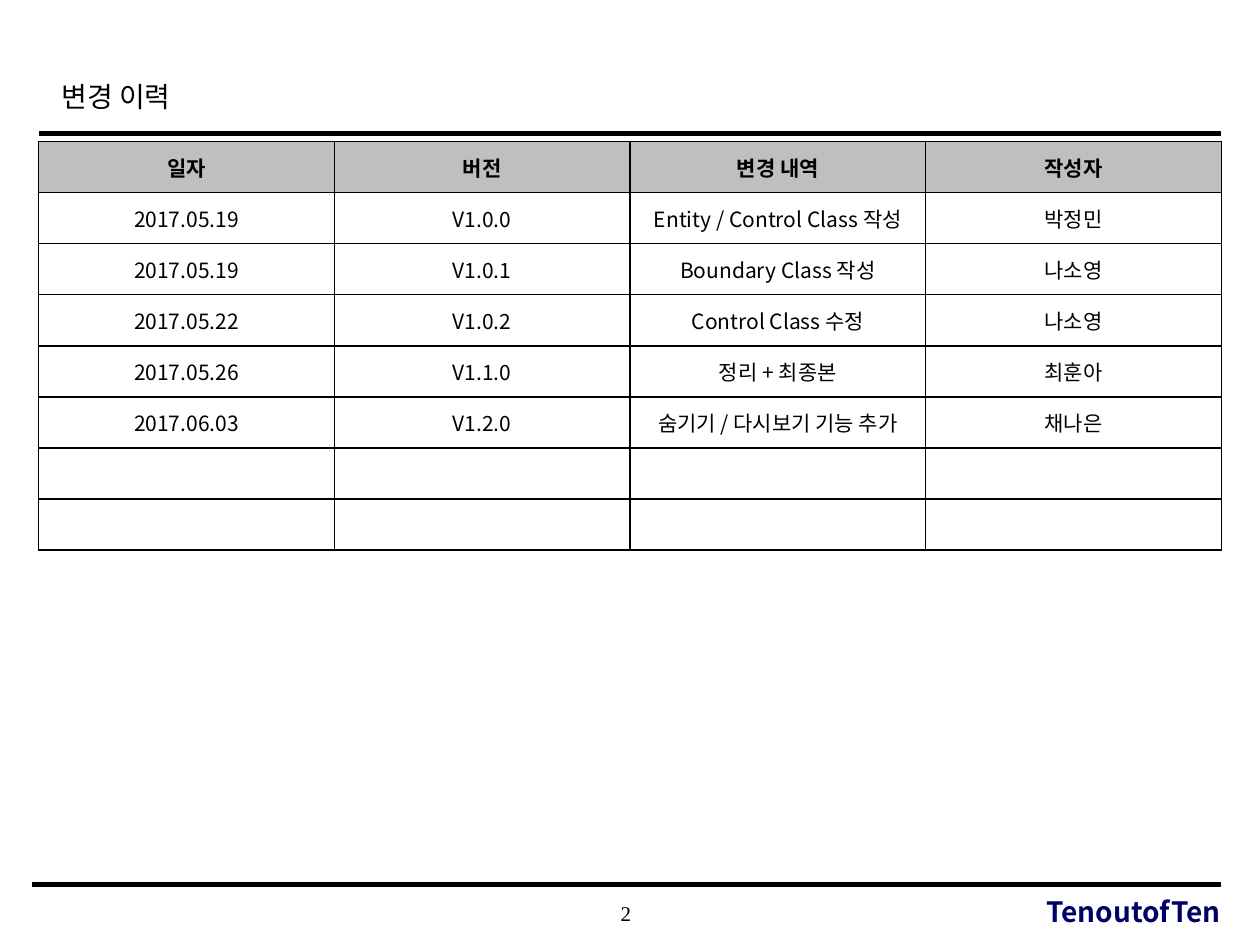
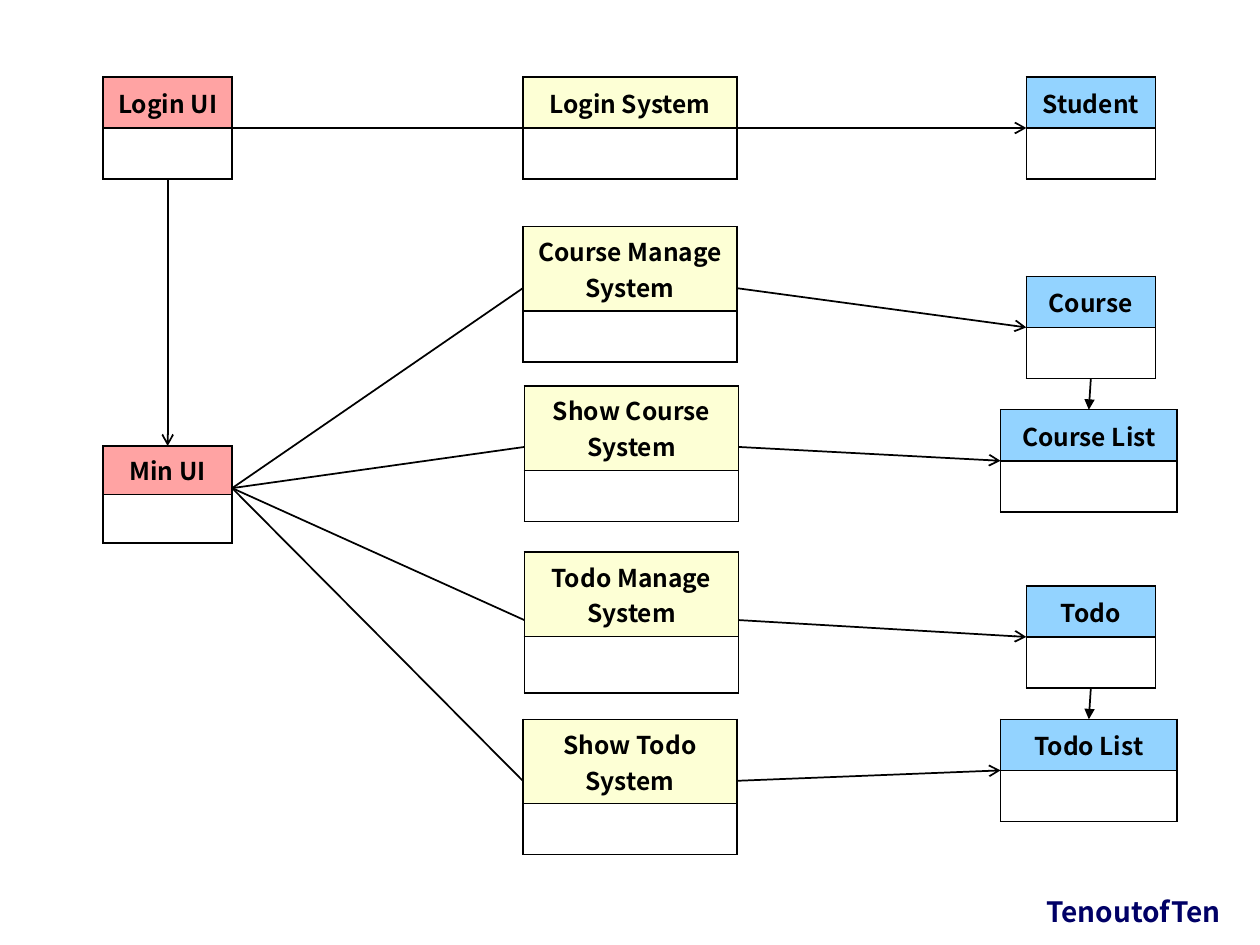
from collections import namedtuple

from lxml import etree
from pptx import Presentation
from pptx import util as u
from pptx.dml.color import RGBColor
from pptx.enum import shapes, text
from pptx.oxml import ns

SANS = "Noto Sans CJK KR"
SERIF = "Times New Roman"
BLACK, WHITE, GREY, NAVY = "000000", "FFFFFF", "BFBFBF", "000066"
PINK, CREAM, SKY = "FFA3A3", "FDFFD5", "93D3FF"
LEFT, MID, RIGHT = text.PP_ALIGN.LEFT, text.PP_ALIGN.CENTER, text.PP_ALIGN.RIGHT

Box = namedtuple("Box", "left top right low port")


def tint(code):
    return RGBColor.from_string(code)


def sub(node, tag, **attrs):
    return etree.SubElement(node, ns.qn(tag), **attrs)


class Deck:
    def __init__(self):
        self.file = Presentation()
        self.file.slide_width = u.Cm(25.4)
        self.file.slide_height = u.Cm(19.05)

    def page(self, layout):
        self.slide = self.file.slides.add_slide(self.file.slide_layouts[layout])
        self.label("TenoutofTen", (16.84, 17.96, 7.77, 0.84), 16, SANS, NAVY, True, RIGHT)

    def style(self, frame, size, face=SANS, color=BLACK, bold=False, align=MID):
        for para in frame.paragraphs:
            para.alignment = align
            font = para.font
            font.size = u.Pt(size)
            font.bold = bold
            font.color.rgb = tint(color)
            font.name = face
            sub(para._p.pPr.find(ns.qn("a:defRPr")), "a:ea", typeface=SANS)

    def title(self, words, place):
        head = self.slide.shapes.title
        head.left, head.top, head.width, head.height = map(u.Cm, place)
        frame = head.text_frame
        frame.text = words
        frame.vertical_anchor = text.MSO_ANCHOR.MIDDLE
        frame.paragraphs[0].line_spacing = 1.2
        self.style(frame, 16, SERIF, align=LEFT)

    def label(self, words, place, *look):
        frame = self.slide.shapes.add_textbox(*map(u.Cm, place)).text_frame
        frame.word_wrap = True
        frame.margin_left = frame.margin_right = 0
        frame.margin_top = frame.margin_bottom = 0
        frame.vertical_anchor = text.MSO_ANCHOR.MIDDLE
        frame.text = words
        self.style(frame, *look)

    def line(self, start, end, width=1, tip=None):
        link = self.slide.shapes.add_connector(
            shapes.MSO_CONNECTOR.STRAIGHT, *map(u.Cm, start + end))
        link.line.color.rgb = tint(BLACK)
        link.line.width = u.Pt(width)
        if tip:
            sub(link.line._ln, "a:tailEnd", type=tip)
        sub(link._element.spPr, "a:effectLst")

    def cell(self, cell, words, size, bold, fill):
        cell.margin_top = cell.margin_bottom = 0
        cell.vertical_anchor = text.MSO_ANCHOR.MIDDLE
        cell.text = words
        self.style(cell.text_frame, size, bold=bold)
        props = cell._tc.get_or_add_tcPr()
        for side in "LRTB":
            edge = sub(props, f"a:ln{side}", w=str(u.Pt(1)))
            sub(sub(edge, "a:solidFill"), "a:srgbClr", val=BLACK)
        if fill:
            cell.fill.solid()
            cell.fill.fore_color.rgb = tint(fill)
        else:
            cell.fill.background()

    def table(self, rows, left, top, width, highs, size, fills):
        grid = self.slide.shapes.add_table(
            len(rows), len(rows[0]), *map(u.Cm, (left, top, width, sum(highs)))).table
        grid.first_row = grid.horz_banding = False
        for i, (row, high) in enumerate(zip(rows, highs)):
            grid.rows[i].height = u.Cm(high)
            for j, words in enumerate(row):
                self.cell(grid.cell(i, j), words, size, i == 0, fills[min(i, 1)])

    def box(self, name, left, top, width, fill, head=1.03, foot=1.03, port=1.03):
        self.table([[name], [""]], left, top, width, (head, foot), 14, (fill, None))
        return Box(left, top, left + width, top + head + foot, top + port)

    def across(self, one, two, tip=None):
        self.line((one.right, one.port), (two.left, two.port), tip=tip)

    def down(self, one, two, tip):
        self.line(((one.left + one.right) / 2, one.low),
                  ((two.left + two.right) / 2, two.top), tip=tip)


def changes(deck):
    deck.page(5)
    deck.label("2", (9.98, 17.98, 5.28, 0.84), 12, SERIF)
    deck.line((0.79, 2.69), (24.61, 2.69), 2.5)
    deck.line((0.64, 17.83), (24.61, 17.83), 3)
    deck.title("변경 이력", (0.99, 1.24, 19.18, 1.27))
    rows = [
        ("일자", "버전", "변경 내역", "작성자"),
        ("2017.05.19", "V1.0.0", "Entity / Control Class 작성", "박정민"),
        ("2017.05.19", "V1.0.1", "Boundary Class 작성", "나소영"),
        ("2017.05.22", "V1.0.2", "Control Class 수정", "나소영"),
        ("2017.05.26", "V1.1.0", "정리 + 최종본", "최훈아"),
        ("2017.06.03", "V1.2.0", "숨기기 / 다시보기 기능 추가", "채나은"),
        ("",) * 4,
        ("",) * 4,
    ]
    deck.table(rows, 0.78, 2.85, 23.84, [1.03] * len(rows), 12, (GREY, WHITE))


def classes(deck):
    deck.page(6)
    login = deck.box("Login UI", 2.08, 1.55, 2.6, PINK)
    main = deck.box("Min UI", 2.08, 8.99, 2.6, PINK, 0.98, 0.98, 0.85)
    entry = deck.box("Login System", 10.54, 1.55, 4.32, CREAM)

    student, course, todo = [
        deck.box(name, 20.69, top, 2.6, SKY)
        for name, top in (("Student", 1.55), ("Course", 5.57), ("Todo", 11.81))]
    courses, todos = [
        deck.box(name, 20.17, top, 3.56, SKY)
        for name, top in (("Course List", 8.26), ("Todo List", 14.5))]

    deck.across(login, entry)
    deck.across(entry, student, "arrow")
    deck.down(login, main, "arrow")
    for name, left, top, foot, port, goal in (
            ("Course Manage\nSystem", 10.54, 4.57, 1.03, 1.24, course),
            ("Show Course System", 10.57, 7.78, 1.03, 1.23, courses),
            ("Todo Manage\nSystem", 10.57, 11.13, 1.14, 1.37, todo),
            ("Show Todo System", 10.54, 14.5, 1.03, 1.24, todos)):
        system = deck.box(name, left, top, 4.32, CREAM, 1.7, foot, port)
        deck.across(main, system)
        deck.across(system, goal, "arrow")
    deck.down(course, courses, "triangle")
    deck.down(todo, todos, "triangle")


def main():
    deck = Deck()
    changes(deck)
    classes(deck)
    deck.file.save("out.pptx")


if __name__ == "__main__":
    main()
